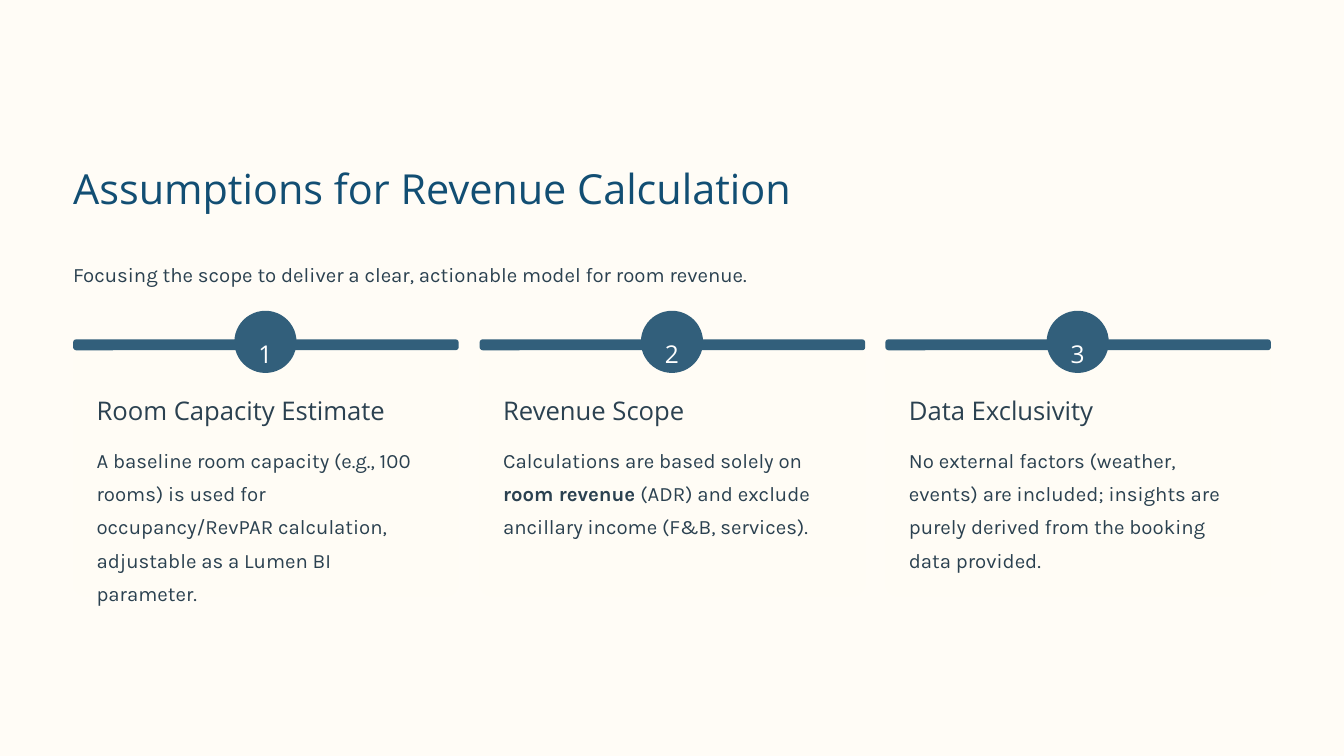
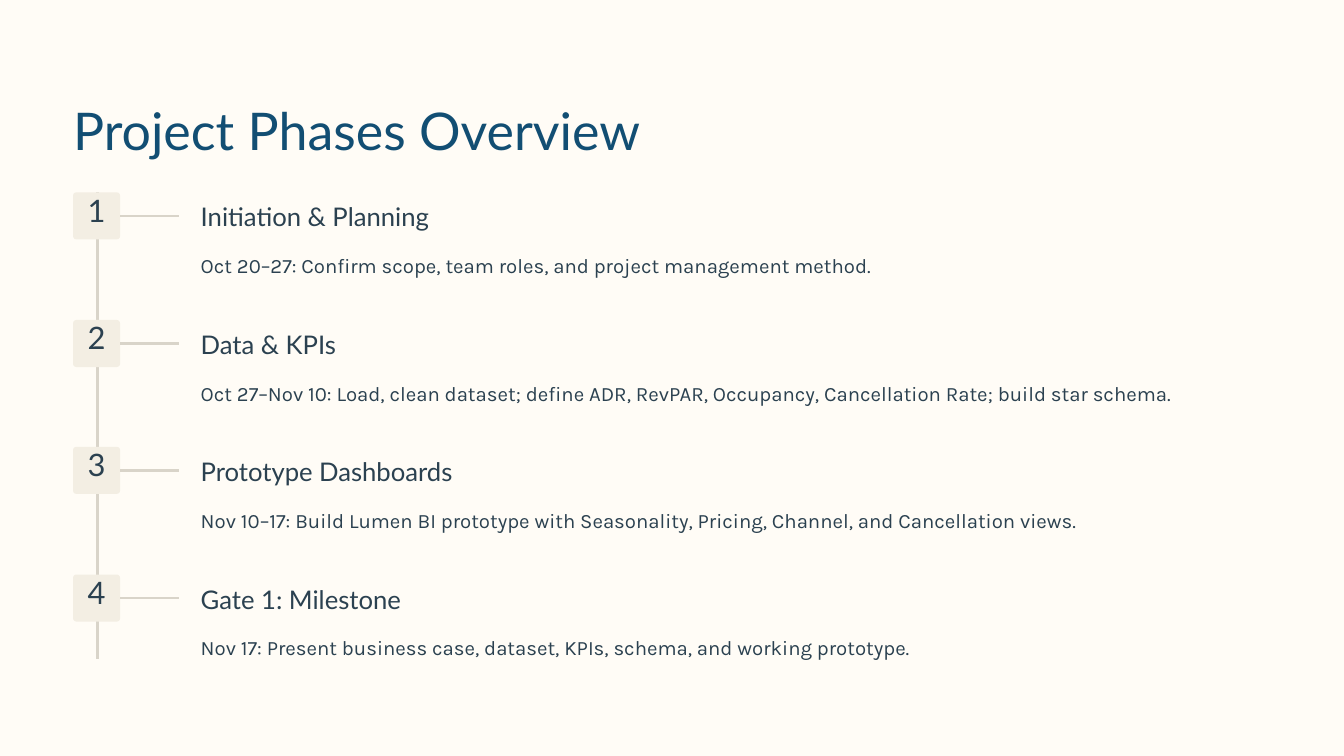
from collections import namedtuple

from lxml import etree
from pptx import Presentation
from pptx.dml.color import RGBColor
from pptx.enum.shapes import MSO_CONNECTOR, MSO_SHAPE
from pptx.enum.text import MSO_ANCHOR, MSO_AUTO_SIZE, PP_ALIGN
from pptx.oxml.ns import qn
from pptx.util import Pt

PX = 9144
TOP = MSO_ANCHOR.TOP
NO_FIT = MSO_AUTO_SIZE.NONE
LEFT, CENTER = PP_ALIGN.LEFT, PP_ALIGN.CENTER
ROUNDED, OVAL = MSO_SHAPE.ROUNDED_RECTANGLE, MSO_SHAPE.OVAL
STRAIGHT = MSO_CONNECTOR.STRAIGHT
TITLE_ONLY = 5
RIGHT_SIDE = 3

PAPER, CARD, TILE, RULE = "FFFCF6", "FFFCF5", "F3EEE3", "D9D4C9"
NAVY, STEEL, INK, WHITE = "124E73", "325F7B", "2B4150", "FFFFFF"
MARGIN, CONTENT_WIDTH = 87, 1426

Style = namedtuple("Style", "font size leading color align", defaults=[INK, LEFT])
BODY = Style("Karla", 17.5, 28.5)

ASSUMPTIONS = [
    ("Room Capacity Estimate",
     ["A baseline room capacity (e.g., 100 rooms) is used for occupancy/RevPAR "
      "calculation, adjustable as a Lumen BI parameter."]),
    ("Revenue Scope",
     ["Calculations are based solely on ", "room revenue",
      " (ADR) and exclude ancillary income (F&B, services)."]),
    ("Data Exclusivity",
     ["No external factors (weather, events) are included; insights are purely "
      "derived from the booking data provided."]),
]

PHASES = [
    ("Initiation & Planning",
     "Oct 20–27: Confirm scope, team roles, and project management method."),
    ("Data & KPIs",
     "Oct 27–Nov 10: Load, clean dataset; define ADR, RevPAR, Occupancy, "
     "Cancellation Rate; build star schema."),
    ("Prototype Dashboards",
     "Nov 10–17: Build Lumen BI prototype with Seasonality, Pricing, Channel, "
     "and Cancellation views."),
    ("Gate 1: Milestone",
     "Nov 17: Present business case, dataset, KPIs, schema, and working prototype."),
]


def color(value):
    return RGBColor.from_string(value)


def scaled(*lengths):
    return [length * PX for length in lengths]


def spread(first, last, count):
    return [first + round(index * (last - first) / (count - 1)) for index in range(count)]


def write(shape, spans, style, inset_top=0):
    frame = shape.text_frame
    frame.auto_size = NO_FIT
    frame.word_wrap = True
    frame.vertical_anchor = TOP
    frame.margin_left = frame.margin_right = frame.margin_bottom = 0
    frame.margin_top = inset_top * PX
    para = frame.paragraphs[0]
    para.alignment = style.align
    para.line_spacing = Pt(style.leading)
    for index, text in enumerate(spans):
        span = para.add_run()
        span.text = text
        span.font.name = style.font
        span.font.size = Pt(style.size)
        span.font.bold = index % 2 == 1
        span.font.color.rgb = color(style.color)


def add_text(page, box, spans, style):
    write(page.shapes.add_textbox(*scaled(*box)), spans, style)


def add_block(page, box, fill, kind=ROUNDED, radius=None):
    shape = page.shapes.add_shape(kind, *scaled(*box))
    shape.shadow.inherit = False
    shape.fill.solid()
    shape.fill.fore_color.rgb = color(fill)
    shape.line.fill.background()
    if radius is not None:
        shape.adjustments[0] = radius
    return shape


def add_rule(page, start, end):
    rule = page.shapes.add_connector(STRAIGHT, *scaled(*start, *end))
    rule.line.color.rgb = color(RULE)
    rule.line.width = Pt(2.25)
    etree.SubElement(rule._element.spPr, qn("a:effectLst"))
    return rule


def add_page(deck, title, top, height, style):
    page = deck.slides.add_slide(deck.slide_layouts[TITLE_ONLY])
    holder = page.shapes.title
    holder.left, holder.top, holder.width, holder.height = scaled(
        MARGIN, top, CONTENT_WIDTH, height)
    write(holder, [title], style)
    return page


def add_assumption(page, left, top, number, heading, spans):
    width, inset, badge_size = 459, 28, 74
    add_block(page, (left, top + 37, width, 303), CARD, radius=0.05)
    add_block(page, (left, top + 34, width, 13), STEEL, radius=0.28)
    badge = add_block(page, (left + (width - badge_size) // 2, top, badge_size, badge_size),
                      STEEL, OVAL)
    write(badge, [str(number)], Style("Open Sans", 21, 34, WHITE, CENTER), 11)
    text_left, text_width = left + inset, width - 2 * inset
    add_text(page, (text_left, top + 99, text_width, 39), [heading],
             Style("Open Sans", 22, 27.5))
    add_text(page, (text_left, top + 153, text_width, 159), spans, BODY)


def add_phase(page, left, top, number, heading, detail):
    size, text_left = 56, left + 152
    middle = top + size // 2
    tile = add_block(page, (left, top, size, size), TILE, radius=0.07)
    write(tile, [str(number)], Style("Lato", 26.5, 26.5, INK, CENTER), 5)
    branch = add_rule(page, (left + size, middle), (left + 126, middle))
    branch.begin_connect(tile, RIGHT_SIDE)
    text_width = CONTENT_WIDTH - 152
    add_text(page, (text_left, top + 9, text_width, 39), [heading], Style("Lato", 22, 27.5))
    add_text(page, (text_left, top + 62, text_width, 40), [detail], BODY)


def build_assumptions(deck):
    page = add_page(deck, "Assumptions for Revenue Calculation", 191, 62,
                    Style("Open Sans", 35.5, 44.5, NAVY))
    add_text(page, (MARGIN, 302, CONTENT_WIDTH, 40),
             ["Focusing the scope to deliver a clear, actionable model for room revenue."], BODY)
    lefts = spread(MARGIN, 1054, len(ASSUMPTIONS))
    for number, (left, (heading, spans)) in enumerate(zip(lefts, ASSUMPTIONS), 1):
        add_assumption(page, left, 370, number, heading, spans)


def build_phases(deck):
    page = add_page(deck, "Project Phases Overview", 115, 78,
                    Style("Lato", 44.5, 55.5, NAVY))
    first_top, spine = 229, MARGIN + 29
    add_rule(page, (spine, first_top), (spine, 785))
    tops = spread(first_top, 684, len(PHASES))
    for number, (top, (heading, detail)) in enumerate(zip(tops, PHASES), 1):
        add_phase(page, MARGIN, top, number, heading, detail)


def main():
    deck = Presentation()
    deck.slide_width, deck.slide_height = scaled(1600, 900)
    background = deck.slide_master.background.fill
    background.solid()
    background.fore_color.rgb = color(PAPER)
    build_assumptions(deck)
    build_phases(deck)
    deck.save("out.pptx")


if __name__ == "__main__":
    main()
